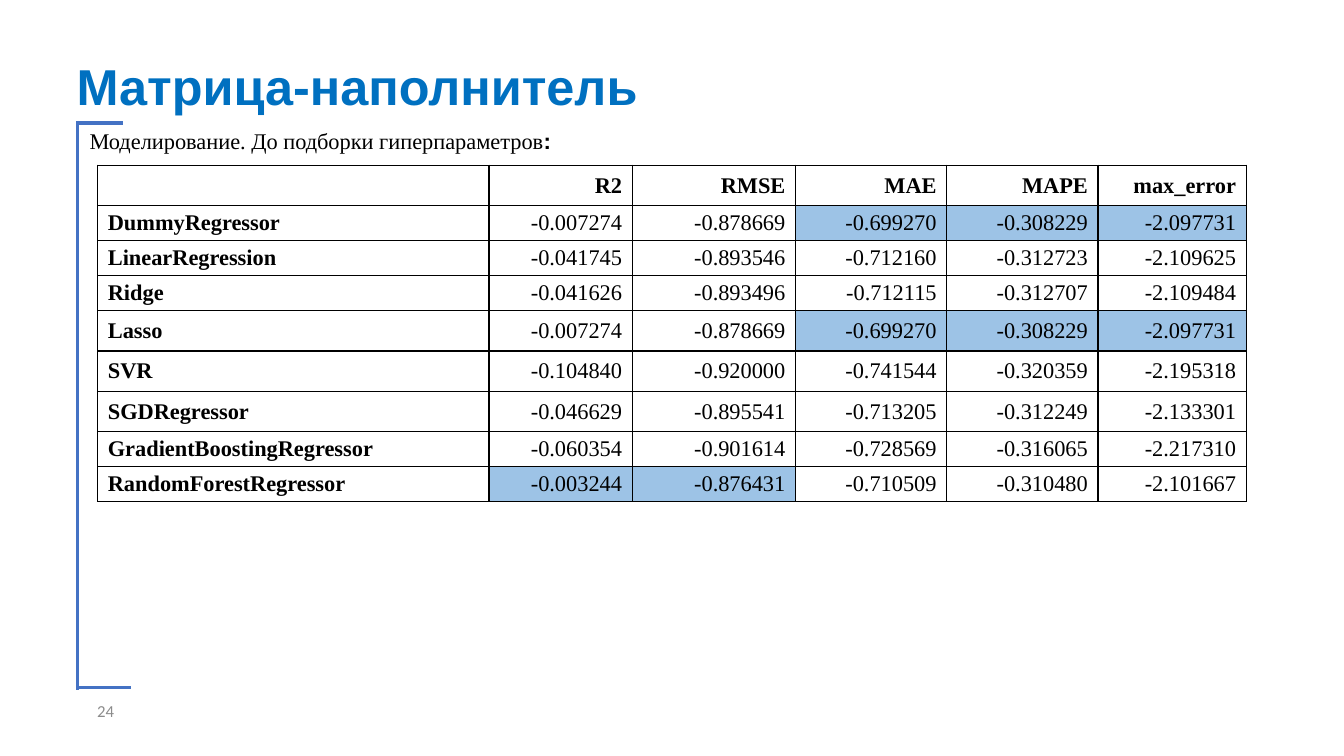
from dataclasses import dataclass

from lxml import etree
from pptx import Presentation
from pptx import util as u
from pptx.dml.color import RGBColor
from pptx.enum import shapes, text
from pptx.oxml import ns

HUES = {"title": "0070C0", "text": "000000", "frame": "4472C4",
        "mark": "9DC3E6", "plain": "FFFFFF", "page": "8C8C8C"}
SERIF = "Times New Roman"
HEADS = ["", "R2", "RMSE", "MAE", "MAPE", "max_error"]
WIDTHS = [3.88, 1.42, 1.62, 1.5, 1.5, 1.47]
TALL, LOW = 0.4, 0.34


@dataclass
class Model:
    name: str
    scores: str
    high: float = LOW
    marks: tuple = ()


@dataclass
class Line:
    x1: float
    y1: float
    x2: float
    y2: float


MODELS = [
    Model("DummyRegressor", "-0.007274 -0.878669 -0.699270 -0.308229 -2.097731", marks=(3, 4, 5)),
    Model("LinearRegression", "-0.041745 -0.893546 -0.712160 -0.312723 -2.109625"),
    Model("Ridge", "-0.041626 -0.893496 -0.712115 -0.312707 -2.109484"),
    Model("Lasso", "-0.007274 -0.878669 -0.699270 -0.308229 -2.097731", TALL, (3, 4, 5)),
    Model("SVR", "-0.104840 -0.920000 -0.741544 -0.320359 -2.195318", TALL),
    Model("SGDRegressor", "-0.046629 -0.895541 -0.713205 -0.312249 -2.133301", TALL),
    Model("GradientBoostingRegressor", "-0.060354 -0.901614 -0.728569 -0.316065 -2.217310"),
    Model("RandomForestRegressor", "-0.003244 -0.876431 -0.710509 -0.310480 -2.101667", marks=(1, 2)),
]
FRAME = [Line(0.77, 1.2, 0.77, 6.85), Line(0.77, 1.22, 1.22, 1.22),
         Line(0.77, 6.82, 1.3, 6.82)]


def rgb(key: str) -> RGBColor:
    return RGBColor.from_string(HUES[key])


def put(para, words: str, *, size: float = 16, font: str = SERIF, hue: str = "text",
        bold: bool = False, right: bool = False, gap: float = 1.0) -> None:
    """Add a formatted run to a paragraph."""
    para.alignment = text.PP_ALIGN.RIGHT if right else text.PP_ALIGN.LEFT
    para.line_spacing = gap
    para.space_before = u.Pt(0)
    run = para.add_run()
    run.text = words
    run.font.size, run.font.name, run.font.bold = u.Pt(size), font, bold
    run.font.color.rgb = rgb(hue)


def place(shape, x: float, y: float, w: float, h: float, anchor, *,
          side: float = 0.08, edge: float = 0.04):
    """Move a text shape and return its first paragraph."""
    shape.left, shape.top = u.Inches(x), u.Inches(y)
    shape.width, shape.height = u.Inches(w), u.Inches(h)
    frame = shape.text_frame
    frame.word_wrap = True
    frame.auto_size = text.MSO_AUTO_SIZE.NONE
    frame.vertical_anchor = anchor
    frame.margin_left = frame.margin_right = u.Inches(side)
    frame.margin_top = frame.margin_bottom = u.Inches(edge)
    return frame.paragraphs[0]


def rule(slide, line: Line) -> None:
    ends = [u.Inches(n) for n in (line.x1, line.y1, line.x2, line.y2)]
    bar = slide.shapes.add_connector(shapes.MSO_CONNECTOR.STRAIGHT, *ends)
    bar.line.color.rgb = rgb("frame")
    bar.line.width = u.Pt(2.25)
    etree.SubElement(bar._element.spPr, ns.qn("a:effectLst"))


def style(cell, fill: str) -> None:
    """Give a cell its borders and fill."""
    props = cell._tc.get_or_add_tcPr()
    for side in ("lnL", "lnR", "lnT", "lnB"):
        edge = etree.SubElement(props, ns.qn(f"a:{side}"), w=str(u.Pt(1)))
        solid = etree.SubElement(edge, ns.qn("a:solidFill"))
        etree.SubElement(solid, ns.qn("a:srgbClr"), val=HUES["text"])
    cell.fill.solid()
    cell.fill.fore_color.rgb = rgb(fill)
    cell.vertical_anchor = text.MSO_ANCHOR.MIDDLE


def grid(slide) -> None:
    rows = [Model("", " ".join(HEADS[1:]), TALL), *MODELS]
    high = sum(row.high for row in rows)
    table = slide.shapes.add_table(
        len(rows), len(WIDTHS), u.Inches(0.97), u.Inches(1.64),
        u.Inches(sum(WIDTHS)), u.Inches(high)).table
    for col, width in zip(table.columns, WIDTHS):
        col.width = u.Inches(width)
    for i, row in enumerate(rows):
        table.rows[i].height = u.Inches(row.high)
        for j, words in enumerate([row.name, *row.scores.split()]):
            cell = table.cell(i, j)
            style(cell, "mark" if j in row.marks else "plain")
            put(cell.text_frame.paragraphs[0], words,
                bold=i == 0 or j == 0, right=j > 0)


def main() -> None:
    prs = Presentation()
    prs.slide_width, prs.slide_height = u.Inches(13.33), u.Inches(7.5)
    slide = prs.slides.add_slide(prs.slide_layouts[1])

    # Title
    para = place(slide.shapes.title, 0.68, 0.52, 8.63, 0.68, text.MSO_ANCHOR.BOTTOM)
    put(para, "Матрица-наполнитель", size=36, font="Arial", hue="title", bold=True, gap=0.9)

    # Caption without a bullet
    para = place(slide.placeholders[1], 0.81, 1.25, 8.46, 4.05, text.MSO_ANCHOR.TOP)
    props = para._p.get_or_add_pPr()
    props.set("marL", "0")
    props.set("indent", "0")
    etree.SubElement(props, ns.qn("a:buNone"))
    put(para, "Моделирование. До подборки гиперпараметров", gap=0.9)
    put(para, ":", font="Arial", bold=True, gap=0.9)

    # Frame and table
    for line in FRAME:
        rule(slide, line)
    grid(slide)

    # Page number
    box = slide.shapes.add_textbox(0, 0, 0, 0)
    para = place(box, 0.57, 6.85, 0.66, 0.4, text.MSO_ANCHOR.MIDDLE, side=0.1, edge=0.05)
    put(para, "24", size=12, font="Calibri", hue="page", right=True)

    prs.save("out.pptx")


if __name__ == "__main__":
    main()
